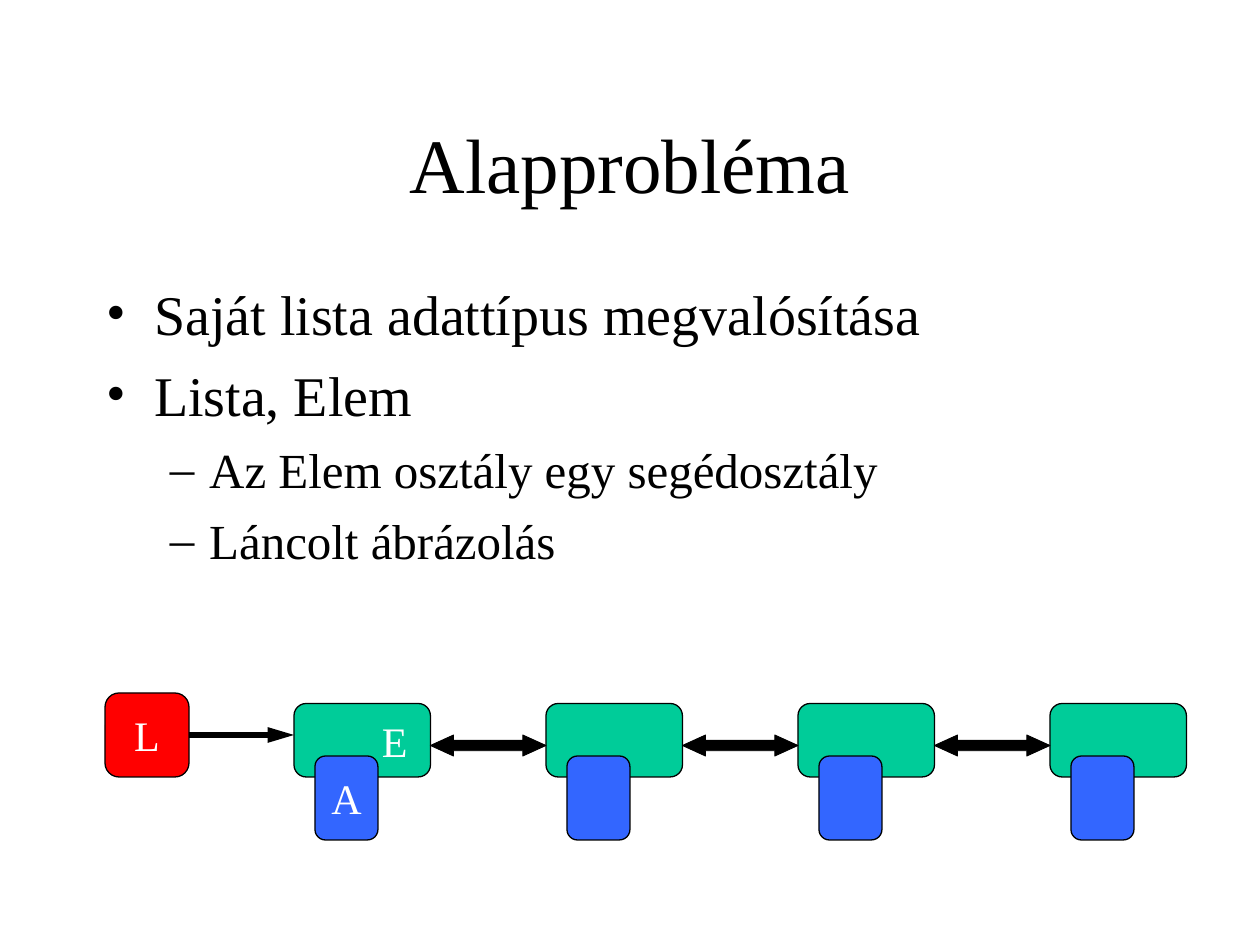
from dataclasses import dataclass

from lxml.etree import SubElement
from pptx import Presentation
from pptx.dml.color import RGBColor as RGB
from pptx.enum.shapes import MSO_CONNECTOR as Connector, MSO_SHAPE as Preset
from pptx.enum.text import MSO_ANCHOR as Anchor, PP_ALIGN as Align
from pptx.oxml.ns import qn
from pptx.util import Pt


@dataclass(frozen=True)
class Theme:
    font: str = "Times New Roman"
    ink: RGB = RGB(0, 0, 0)
    label: RGB = RGB(255, 255, 255)
    element: RGB = RGB(0x00, 0xCC, 0x99)
    data: RGB = RGB(0x33, 0x66, 0xFF)
    head: RGB = RGB(255, 0, 0)
    title_size: int = 44
    body_sizes: tuple = (32, 28)
    label_size: int = 24


THEME = Theme()
BULLETS = (("•", 27, 27, 8), ("–", 58.5, 22.5, 7))
POINTS = (
    (0, "Saját lista adattípus megvalósítása"),
    (0, "Lista, Elem"),
    (1, "Az Elem osztály egy segédosztály"),
    (1, "Láncolt ábrázolás"),
)


def points(*lengths):
    return [Pt(length) for length in lengths]


def add_run(paragraph, text, size, color):
    run = paragraph.add_run()
    run.text = text
    run.font.name = THEME.font
    run.font.size = Pt(size)
    run.font.color.rgb = color


def add_title(slide, box):
    frame = slide.shapes.add_textbox(*points(*box)).text_frame
    frame.word_wrap = True
    frame.vertical_anchor = Anchor.MIDDLE
    heading = frame.paragraphs[0]
    heading.alignment = Align.CENTER
    add_run(heading, "Alapprobléma", THEME.title_size, THEME.ink)


def set_bullet(paragraph, level):
    mark, indent, hang, space = BULLETS[level]
    paragraph.level = level
    paragraph.space_before = Pt(space)
    properties = paragraph._p.get_or_add_pPr()
    properties.set("marL", str(Pt(indent)))
    properties.set("indent", str(Pt(-hang)))
    SubElement(properties, qn("a:buFont"), typeface=THEME.font)
    SubElement(properties, qn("a:buChar"), char=mark)


def add_points(slide, box):
    frame = slide.shapes.add_textbox(*points(*box)).text_frame
    frame.word_wrap = True
    for index, (level, text) in enumerate(POINTS):
        point = frame.add_paragraph() if index else frame.paragraphs[0]
        set_bullet(point, level)
        add_run(point, text, THEME.body_sizes[level], THEME.ink)


def add_solid(slide, preset, box, fill, adjustments, line_width=0.75):
    solid = slide.shapes.add_shape(preset, *points(*box))
    solid.shadow.inherit = False
    solid.fill.solid()
    solid.fill.fore_color.rgb = fill
    solid.line.color.rgb = THEME.ink
    solid.line.width = Pt(line_width)
    for index, value in enumerate(adjustments):
        solid.adjustments[index] = value
    return solid


def add_block(slide, box, fill, label="", align=Align.CENTER, right_inset=7.2):
    block = add_solid(slide, Preset.ROUNDED_RECTANGLE, box, fill, [0.167])
    if label:
        frame = block.text_frame
        frame.word_wrap = False
        frame.vertical_anchor = Anchor.MIDDLE
        frame.margin_right = Pt(right_inset)
        frame.paragraphs[0].alignment = align
        add_run(frame.paragraphs[0], label, THEME.label_size, THEME.label)
    return block


def add_head_arrow(slide, head, start, end):
    arrow = slide.shapes.add_connector(Connector.STRAIGHT, *points(*start, *end))
    arrow.begin_connect(head, 3)
    arrow.line.color.rgb = THEME.ink
    arrow.line.width = Pt(3)
    SubElement(arrow.line._get_or_add_ln(), qn("a:tailEnd"),
               type="triangle", w="med", len="lg")
    SubElement(arrow._element.spPr, qn("a:effectLst"))


def add_linked_list(slide, box, count=4):
    left, top, width, height = box
    head_size, element_width, element_height = 48, 78, 42
    first = left + 108
    pitch = (left + width - element_width - first) / (count - 1)
    element_lefts = [first + index * pitch for index in range(count)]
    link_y = top + head_size / 2

    for x, label in zip(element_lefts, ["E"] + [""] * (count - 1)):
        add_block(slide, (x, top + 6, element_width, element_height),
                  THEME.element, label, Align.RIGHT, 11)
    for x, label in zip(element_lefts, ["A"] + [""] * (count - 1)):
        add_block(slide, (x + 12, top + height - 48, 36, 48), THEME.data, label)

    head = add_block(slide, (left, top, head_size, head_size), THEME.head, "L")
    add_head_arrow(slide, head, (left + head_size, link_y), (first, link_y))

    for x in element_lefts[:-1]:
        link = (x + element_width, link_y, pitch - element_width, 12)
        add_solid(slide, Preset.LEFT_RIGHT_ARROW, link, THEME.ink, [0.5, 1.1], 0.5)


def main():
    deck = Presentation()
    deck.slide_width, deck.slide_height = points(720, 540)
    slide = deck.slides.add_slide(deck.slide_layouts[6])
    add_title(slide, (54, 48, 612, 90))
    add_points(slide, (54, 156, 618, 192))
    add_linked_list(slide, (60, 396, 618, 84))
    deck.save("out.pptx")


if __name__ == "__main__":
    main()
